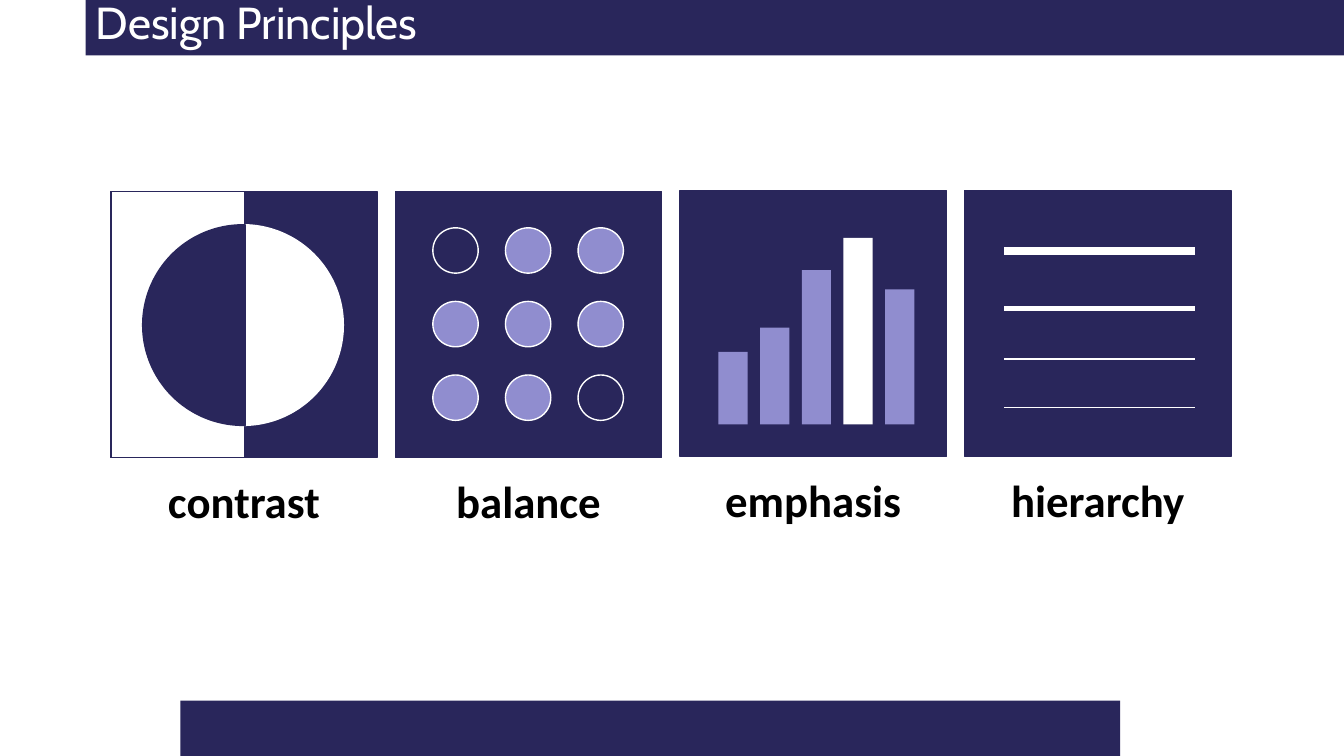
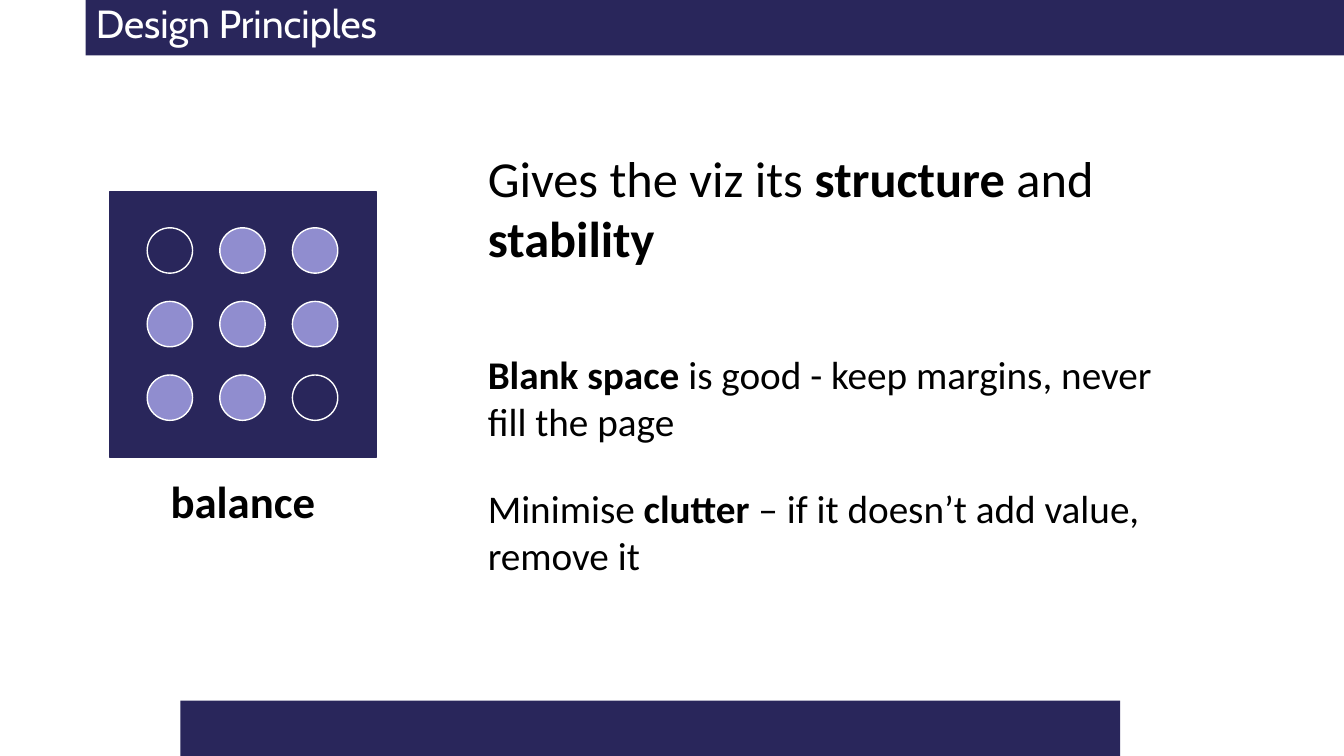
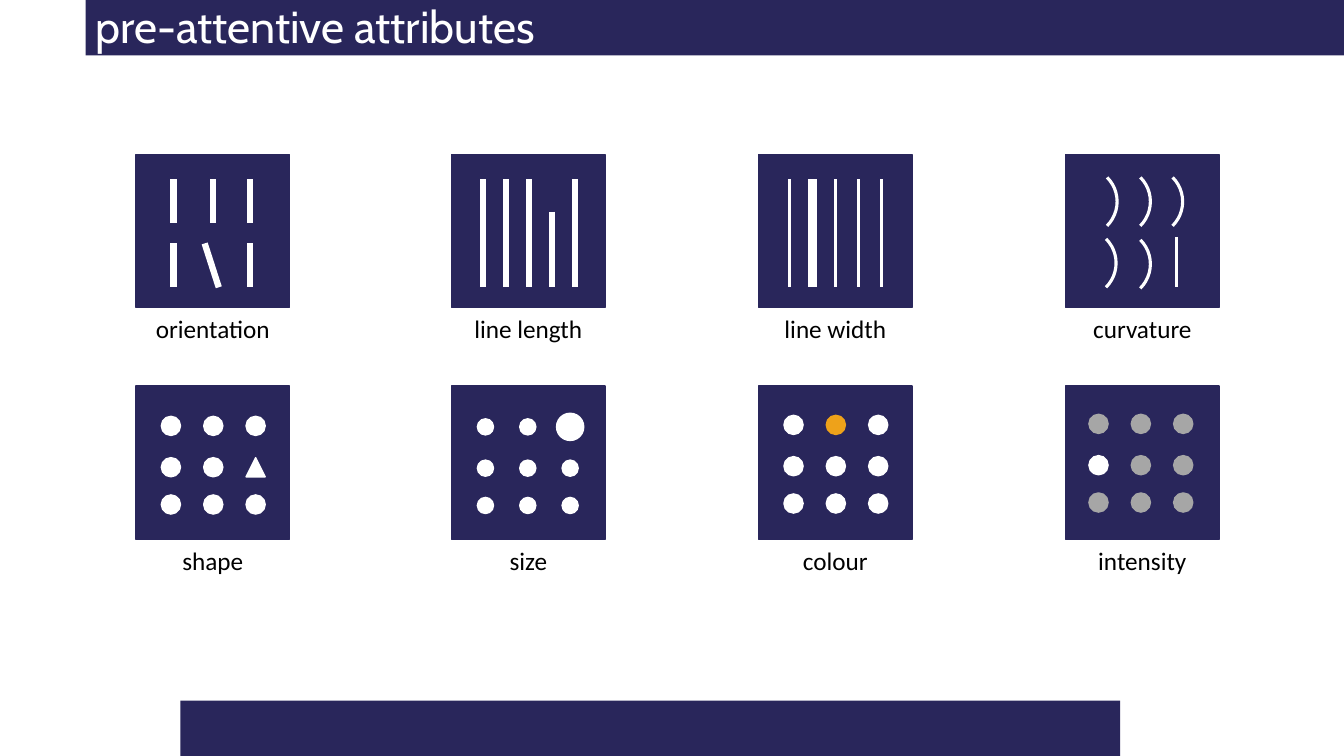
import pptx
import pptx.util
import pptx.dml.color
import pptx.enum.shapes
import pptx.enum.text
import pptx.oxml

Inch, Pt = pptx.util.Inches, pptx.util.Pt
Kind = pptx.enum.shapes.MSO_SHAPE
Align = pptx.enum.text.PP_ALIGN
Fit = pptx.enum.text.MSO_AUTO_SIZE

# Shared look
HUE = {"navy": "29265B", "lilac": "908DCF", "white": "FFFFFF",
       "black": "000000", "gold": "EEA21A", "grey": "A6A6A6"}
WIDE, HIGH = 13.33, 7.5
BAND = 0.55
HEAD = (0.85, 0, WIDE - 0.85, BAND)
FOOT = (1.79, HIGH - BAND, 9.32, BAND)

# Content: title, size, line spacing
TITLES = [("Design Principles", 32, 0.8),
          ("Design Principles", 28, 0.9),
          ("pre-attentive attributes", 32, 0.9)]

# Large tiles; places inside a tile are measured from its corner
BIG, PITCH, LEFT = 2.64, 2.823, 1.1
BARS = [(0.72, "lilac"), (0.96, "lilac"), (1.53, "lilac"),
        (1.85, "white"), (1.34, "lilac")]
RULES = [(0.6, 6), (1.17, 3), (1.67, 1.5), (2.15, 0.5)]
HOLLOW = [(0, 0), (2, 2)]

# Body text: top, height, size, runs of (words, bold)
NOTES = [
    (1.41, 1.31, 36, [("Gives the viz its ", False), ("structure", True),
                      (" and ", False), ("stability", True)]),
    (3.43, 1.04, 28, [("Blank space ", True),
                      ("is good - keep margins, never fill the page", False)]),
    (4.76, 1.04, 28, [("Minimise ", False), ("clutter", True),
                      (" – if it doesn’t add value, remove it", False)]),
]

# Small tiles
SMALL = 1.52
COLS, ROWS = (1.35, 4.48, 7.525, 10.57), (1.53, 3.83)
TOP, END = 0.25, 1.32
# Strokes: x1, y1, x2, y2, weight
SLANT = [(x, y, x, y + 0.435, 4.5) for y in (0.25, 0.885)
         for x in (0.37, 0.76, 1.13) if (x, y) != (0.76, 0.885)]
SLANT.append((0.68, 0.885, 0.82, END, 4.5))
LONG = [(0.31 + 0.2275 * i, 0.57 if i == 3 else TOP,
         0.31 + 0.2275 * i, END, 4.5) for i in range(5)]
THICK = [(0.305 + 0.2275 * i, TOP, 0.305 + 0.2275 * i, END,
          6 if i == 1 else 2.25) for i in range(5)]
BENT = [(1.1, 0.82, 1.1, END, 2.25)]
ARCS = [(-0.17, 0.13), (0.16, 0.13), (0.48, 0.13), (-0.18, 0.74), (0.16, 0.75)]
# Dots: centres, then per tile a shift, size, colour and the odd one out
DOT_X, DOT_Y = (0.345, 0.765, 1.185), (0.395, 0.805, 1.175)
STROKES = [("orientation", SLANT, []), ("line length", LONG, []),
           ("line width", THICK, []), ("curvature", BENT, ARCS)]
DOTS = [
    ("shape", (0, 0), 0.19, "white", (2, 1), {"kind": Kind.ISOSCELES_TRIANGLE}),
    ("size", (-0.01, 0.01), 0.16, "white", (2, 0), {"size": 0.27}),
    ("colour", (0, -0.01), 0.19, "white", (1, 0), {"hue": "gold"}),
    ("intensity", (-0.02, -0.02), 0.19, "grey", (0, 1), {"hue": "white"}),
]


def tint(name):
    return pptx.dml.color.RGBColor.from_string(HUE[name])


def fmt(item, **vals):
    for key, val in vals.items():
        setattr(item, key, val)


def shape(home, kind, box, fill=None, line=None, thick=1, turn=0):
    part = home.add_shape(kind, *map(Inch, box))
    part.shadow.inherit = False
    part.rotation = turn
    if fill:
        part.fill.solid()
        part.fill.fore_color.rgb = tint(fill)
    else:
        part.fill.background()
    if line:
        part.line.color.rgb = tint(line)
        part.line.width = Pt(thick)
    else:
        part.line.fill.background()
    return part


def stroke(home, x1, y1, x2, y2, thick):
    line = home.add_connector(pptx.enum.shapes.MSO_CONNECTOR.STRAIGHT,
                              *map(Inch, (x1, y1, x2, y2)))
    line.line.color.rgb = tint("white")
    line.line.width = Pt(thick)
    line._element.spPr.append(pptx.oxml.parse_xml(
        '<a:effectLst xmlns:a='
        '"http://schemas.openxmlformats.org/drawingml/2006/main"/>'))


def style(run, size, bold=False, face="Calibri", hue="black"):
    fmt(run.font, size=Pt(size), bold=bold, name=face)
    run.font.color.rgb = tint(hue)


def text(home, box, runs, size, align=Align.LEFT):
    frame = home.add_textbox(*map(Inch, box)).text_frame
    fmt(frame, word_wrap=True, auto_size=Fit.SHAPE_TO_FIT_TEXT)
    para = frame.paragraphs[0]
    para.alignment = align
    for words, bold in runs:
        run = para.add_run()
        run.text = words
        style(run, size, bold)


def tile(home, x, y, side):
    group = home.add_group_shape().shapes
    shape(group, Kind.RECTANGLE, (x, y, side, side), "navy", "navy")
    return group


# Pictograms for the large tiles
def contrast(group, x, y):
    disc = (x + 0.315, y + 0.33, 1.99, 1.99)
    shape(group, Kind.RECTANGLE, (x, y, 1.33, BIG), "white", "navy")
    shape(group, Kind.OVAL, disc, "white", "white")
    half = shape(group, Kind.CHORD, disc, "navy", "navy")
    half.adjustments[0], half.adjustments[1] = 53.23, 162.77


def balance(group, x, y):
    for row in range(3):
        for col in range(3):
            fill = "navy" if (col, row) in HOLLOW else "lilac"
            shape(group, Kind.OVAL, (x + 0.37 + 0.72 * col,
                                     y + 0.36 + 0.73 * row, 0.45, 0.45),
                  fill, "white")


def emphasis(group, x, y):
    for i, (tall, hue) in enumerate(BARS):
        shape(group, Kind.RECTANGLE,
              (x + 0.38 + 0.413 * i, y + 2.32 - tall, 0.29, tall), hue)


def ranking(group, x, y):
    for drop, thick in RULES:
        stroke(group, x + 0.39, y + drop, x + 2.28, y + drop, thick)


PANELS = [("contrast", contrast, 1.9), ("balance", balance, 1.9),
          ("emphasis", emphasis, 1.89), ("hierarchy", ranking, 1.89)]


def panel(home, x, name, draw, y):
    draw(tile(home, x, y, BIG), x, y)
    text(home, (x, y + 2.75, BIG, 0.64), [(name, True)], 32, Align.CENTER)


def label(home, x, y, name):
    text(home, (x, y + 1.53, SMALL, 0.4), [(name, False)], 18, Align.CENTER)


def start(deck, layout, words, size, gap):
    slide = deck.slides.add_slide(layout)
    title = slide.shapes.title
    fmt(title, **dict(zip(("left", "top", "width", "height"),
                          map(Inch, HEAD))))
    frame = title.text_frame
    fmt(frame, word_wrap=True, auto_size=Fit.NONE,
        vertical_anchor=pptx.enum.text.MSO_ANCHOR.TOP)
    para = frame.paragraphs[0]
    fmt(para, alignment=Align.LEFT, line_spacing=gap, space_before=Pt(0))
    run = para.add_run()
    run.text = words
    style(run, size, face="Cabin", hue="white")
    return slide.shapes


def main():
    deck = pptx.Presentation()
    fmt(deck, slide_width=Inch(WIDE), slide_height=Inch(HIGH))
    layout = deck.slide_layouts[5]
    first, second, third = [start(deck, layout, *row) for row in TITLES]

    # Bands move to the layout, behind every title
    for i, box in enumerate((FOOT, HEAD)):
        band = shape(first, Kind.RECTANGLE, box, "navy")
        layout.shapes.element.insert(2 + i, band.element)

    # Slide 1: four principles
    for i, row in enumerate(PANELS):
        panel(first, LEFT + PITCH * i, *row)

    # Slide 2: balance
    panel(second, LEFT - 0.01, *PANELS[1])
    for top, tall, size, runs in NOTES:
        text(second, (4.74, top, 7.13, tall), runs, size)

    # Slide 3: strokes above, dots below
    for x, (name, lines, arcs) in zip(COLS, STROKES):
        y = ROWS[0]
        group = tile(third, x, y, SMALL)
        for x1, y1, x2, y2, thick in lines:
            stroke(group, x + x1, y + y1, x + x2, y + y2, thick)
        for dx, dy in arcs:
            shape(group, Kind.ARC, (x + dx, y + dy, 0.68, 0.68),
                  line="white", thick=2.25, turn=45.1)
        label(third, x, y, name)

    for x, (name, (dx, dy), size, hue, odd, twist) in zip(COLS, DOTS):
        y = ROWS[1]
        group = tile(third, x, y, SMALL)
        for row, cy in enumerate(DOT_Y):
            for col, cx in enumerate(DOT_X):
                dot = {"kind": Kind.OVAL, "size": size, "hue": hue}
                if (col, row) == odd:
                    dot.update(twist)
                side = dot["size"]
                shape(group, dot["kind"],
                      (x + cx + dx - side / 2, y + cy + dy - side / 2,
                       side, side), dot["hue"], dot["hue"])
        label(third, x, y, name)

    deck.save("out.pptx")


if __name__ == "__main__":
    main()
